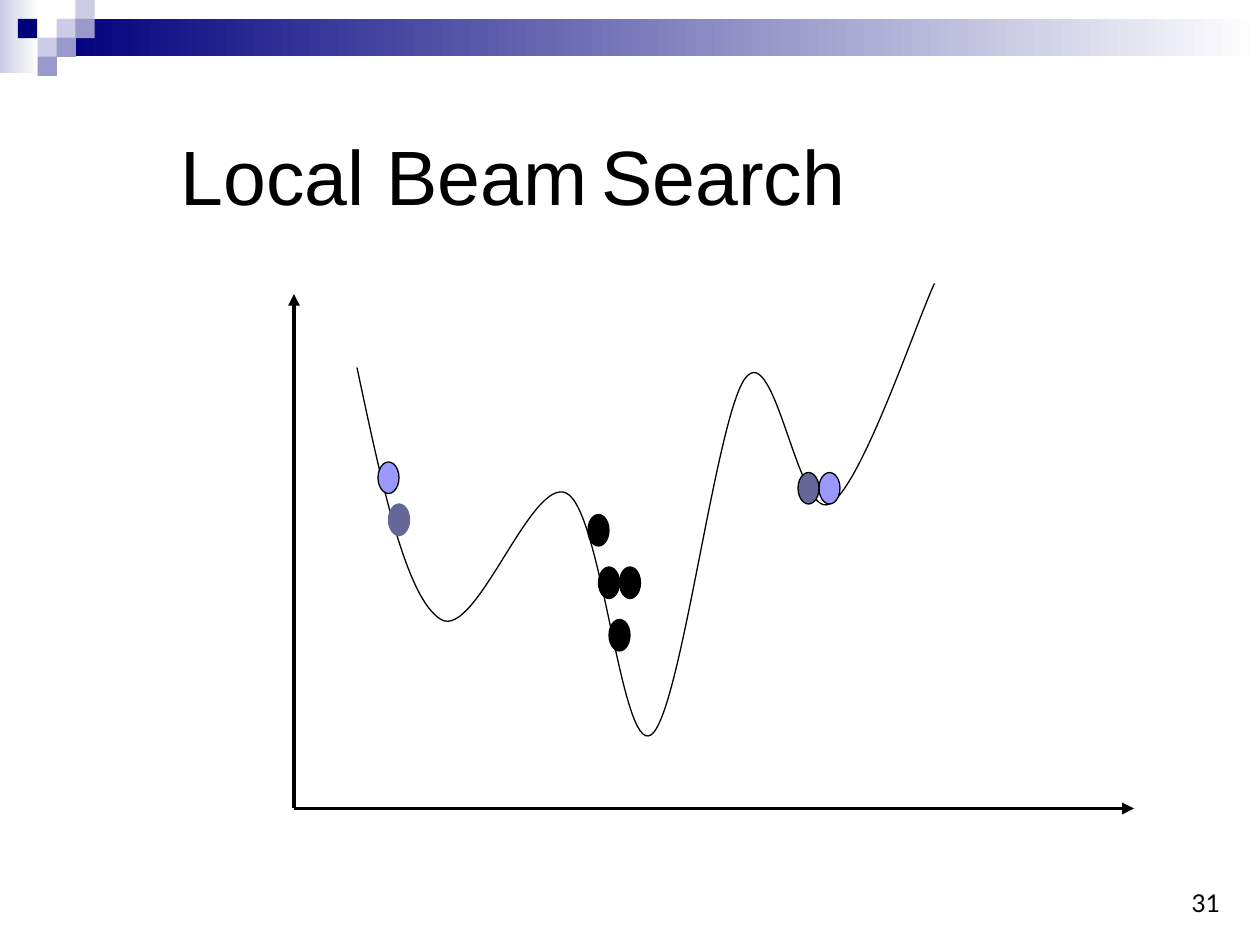
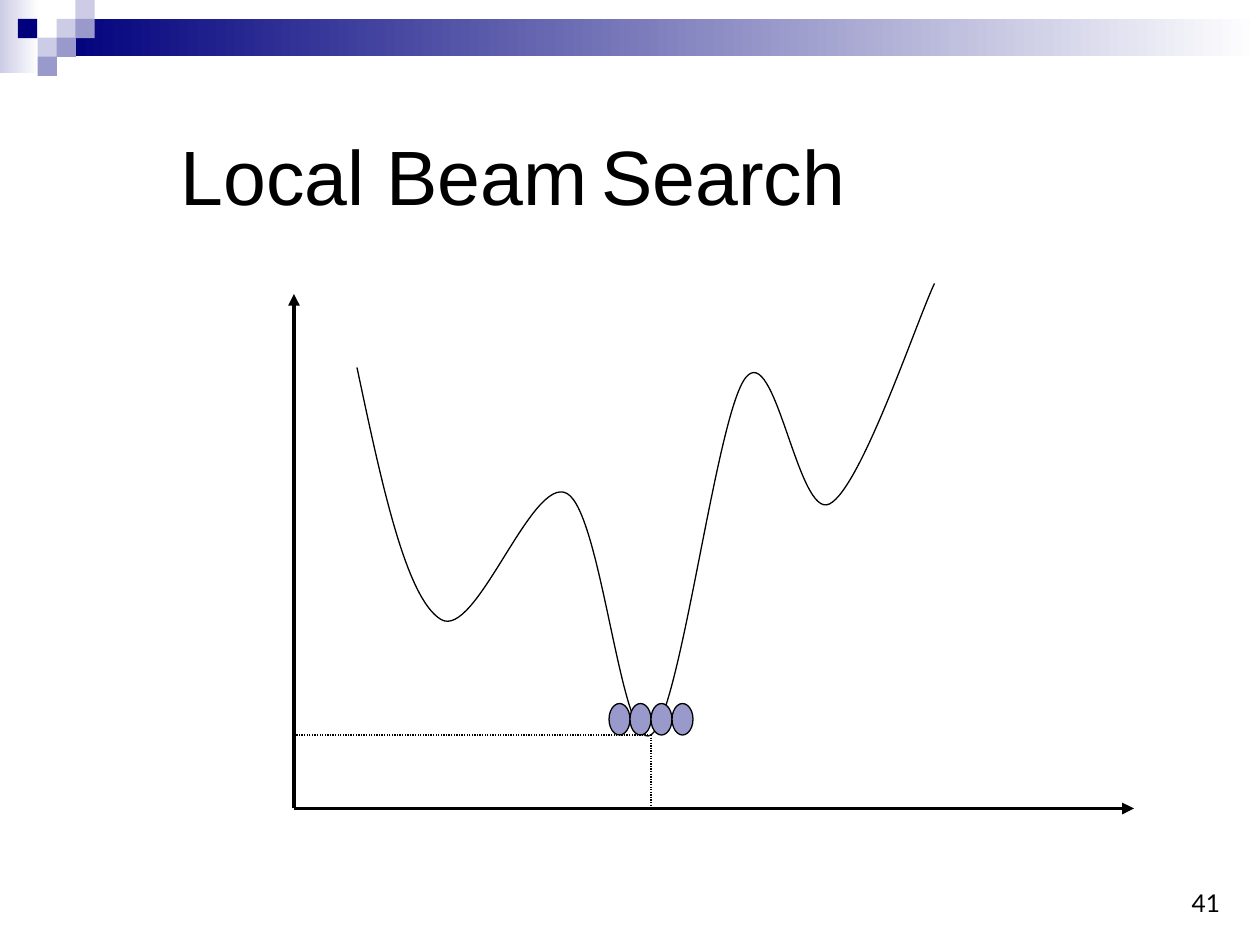
import dataclasses
import pptx
import pptx.dml.color
import pptx.enum.dml
import pptx.enum.shapes
import pptx.enum.text
import pptx.oxml
import pptx.oxml.ns
import pptx.util
import lxml.etree

Cm, Pt = pptx.util.Cm, pptx.util.Pt
KIND = pptx.enum.shapes.MSO_SHAPE
ALIGN = pptx.enum.text.PP_ALIGN
ANCHOR = pptx.enum.text.MSO_ANCHOR


@dataclasses.dataclass(frozen=True)
class Theme:
    black: str = "000000"
    white: str = "FFFFFF"
    navy: str = "00007D"
    pale: str = "CCCCE6"
    mid: str = "9999CC"
    light: str = "9999FF"
    dark: str = "666699"
    head: str = "Arial"
    foot: str = "Lato"
    big: int = 44
    gap: int = 28
    small: int = 14
    thick: float = 2.25
    thin: float = 0.75


T = Theme()

# Content: plot places are counted in twelfths of an inch
TITLE = [("Local Beam", {}),
         (" ", {"size": T.gap, "color": T.mid, "italic": True}),
         ("Search", {})]
AXES = [((28, 77), (28, 28)), ((28, 77), (108, 77))]
LEAD = (28, -7)  # sets the slope at the start of the curve
KNOTS = [(34, 35), (42, 59), (54, 47), (62, 70), (71, 36), (79, 48), (89, 27)]
DOT = (2, 3)
LOW = KNOTS[3]

# Each dot: column, row, fill, line
SLIDES = [
    {"page": "31", "guides": [], "dots": [
        (56, 49, T.black, T.black), (36, 44, T.light, T.black),
        (57, 54, T.black, T.black), (78, 45, T.light, T.black),
        (58, 59, T.black, T.black), (59, 54, T.black, T.black),
        (37, 48, T.dark, T.dark), (76, 45, T.dark, T.black)]},
    {"page": "41", "guides": [(LOW, (62, 77)), (LOW, (28, 70))],
     "dots": [(58 + i * DOT[0], 67, T.mid, T.black) for i in range(4)]},
]

# Band: gradient bars in cm, then squares by column and row
BARS = [((0, 0, 0.79, 1.47), T.pale), ((1.14, 0.38, 24.25, 0.76), T.navy)]
CELL, SIDE = 0.38, 0.39
SQUARES = [(3, 1, T.pale), (4, 0, T.pale), (4, 1, T.mid), (2, 2, T.pale),
           (0.95, 1, T.navy), (3, 2, T.mid), (2, 3, T.mid)]


def rgb(code):
    return pptx.dml.color.RGBColor.from_string(code)


def grid(*vals):
    return [Cm(v * 2.54 / 12) for v in vals]


def say(shape, runs, font=T.head, size=T.big, color=T.black, italic=False,
        align=ALIGN.LEFT, anchor=ANCHOR.MIDDLE):
    frame = shape.text_frame
    frame.word_wrap = True
    frame.auto_size = pptx.enum.text.MSO_AUTO_SIZE.NONE
    frame.vertical_anchor = anchor
    para = frame.paragraphs[0]
    para.alignment = align
    for words, own in runs:
        look = {"size": size, "color": color, "italic": italic, **own}
        run = para.add_run()
        run.text = words
        run.font.name = font
        run.font.size = Pt(look["size"])
        run.font.italic = look["italic"]
        run.font.color.rgb = rgb(look["color"])


def stroke(line, color=T.black, width=T.thin):
    line.color.rgb = rgb(color)
    line.width = Pt(width)


def block(shapes, kind, box, fill, edge=None, fade=False):
    shape = shapes.add_shape(kind, *box)
    shape.shadow.inherit = False
    if fade:
        shape.fill.gradient()
        shape.fill.gradient_angle = 0
        for stop, color in zip(shape.fill.gradient_stops, (fill, T.white)):
            stop.color.rgb = rgb(color)
    else:
        shape.fill.solid()
        shape.fill.fore_color.rgb = rgb(fill)
    if edge:
        stroke(shape.line, edge)
    else:
        shape.line.fill.background()


def link(shapes, start, end, width=T.thin, arrow=False, dots=False):
    line = shapes.add_connector(pptx.enum.shapes.MSO_CONNECTOR.STRAIGHT,
                                *grid(*start, *end))
    stroke(line.line, width=width)
    if dots:
        line.line.dash_style = pptx.enum.dml.MSO_LINE.ROUND_DOT
    qn = pptx.oxml.ns.qn
    if arrow:
        lxml.etree.SubElement(line.line._get_or_add_ln(), qn("a:tailEnd"),
                              type="triangle")
    lxml.etree.SubElement(line._element.spPr, qn("a:effectLst"))


def curve(shapes):
    # Slope at each knot comes from its two neighbours
    ends = [LEAD, *KNOTS, KNOTS[-1]]
    slopes = [((c[0] - a[0]) / 6, (c[1] - a[1]) / 6)
              for a, c in zip(ends, ends[2:])]
    points = []
    for i in range(len(KNOTS) - 1):
        (ax, ay), (bx, by) = KNOTS[i:i + 2]
        (px, py), (qx, qy) = slopes[i:i + 2]
        points += [(ax + px, ay + py), (bx - qx, by - qy), (bx, by)]
    form = shapes.build_freeform(*grid(*KNOTS[0]))
    form.add_line_segments([grid(*p) for p in points], close=False)
    shape = form.convert_to_shape()
    shape.shadow.inherit = False
    shape.fill.background()
    stroke(shape.line)
    # Join each three straight steps into one cubic step
    track = shape._element.xpath(".//a:path")[0]
    steps = list(track)[1:]
    for i in range(0, len(steps), 3):
        cubic = lxml.etree.SubElement(track, pptx.oxml.ns.qn("a:cubicBezTo"))
        for step in steps[i:i + 3]:
            cubic.append(step[0])
            track.remove(step)


def band(shapes):
    for box, color in BARS:
        block(shapes, KIND.RECTANGLE, [Cm(v) for v in box], color, fade=True)
    for col, row, color in SQUARES:
        box = [Cm(v) for v in (col * CELL, row * CELL, SIDE, SIDE)]
        block(shapes, KIND.RECTANGLE, box, color)


def build(deck, data):
    slide = deck.slides.add_slide(deck.slide_layouts[5])
    shapes = slide.shapes
    band(shapes)
    # Title and page number
    title = shapes.title
    title.left, title.top = Cm(3.39), Cm(2.37)
    title.width, title.height = Cm(21.64), Cm(2.29)
    say(title, TITLE)
    page = shapes.add_textbox(Cm(19.57), Cm(17.35), Cm(5.28), Cm(1.27))
    say(page, [(data["page"], {})], font=T.foot, size=T.small,
        align=ALIGN.RIGHT, anchor=ANCHOR.BOTTOM)
    # Plot
    for start, end in AXES:
        link(shapes, start, end, width=T.thick, arrow=True)
    curve(shapes)
    for col, row, fill, edge in data["dots"]:
        block(shapes, KIND.OVAL, grid(col, row, *DOT), fill, edge)
    for start, end in data["guides"]:
        link(shapes, start, end, dots=True)


def main():
    deck = pptx.Presentation()
    deck.slide_width, deck.slide_height = Cm(25.4), Cm(19.05)
    for data in SLIDES:
        build(deck, data)
    deck.save("out.pptx")


if __name__ == "__main__":
    main()
